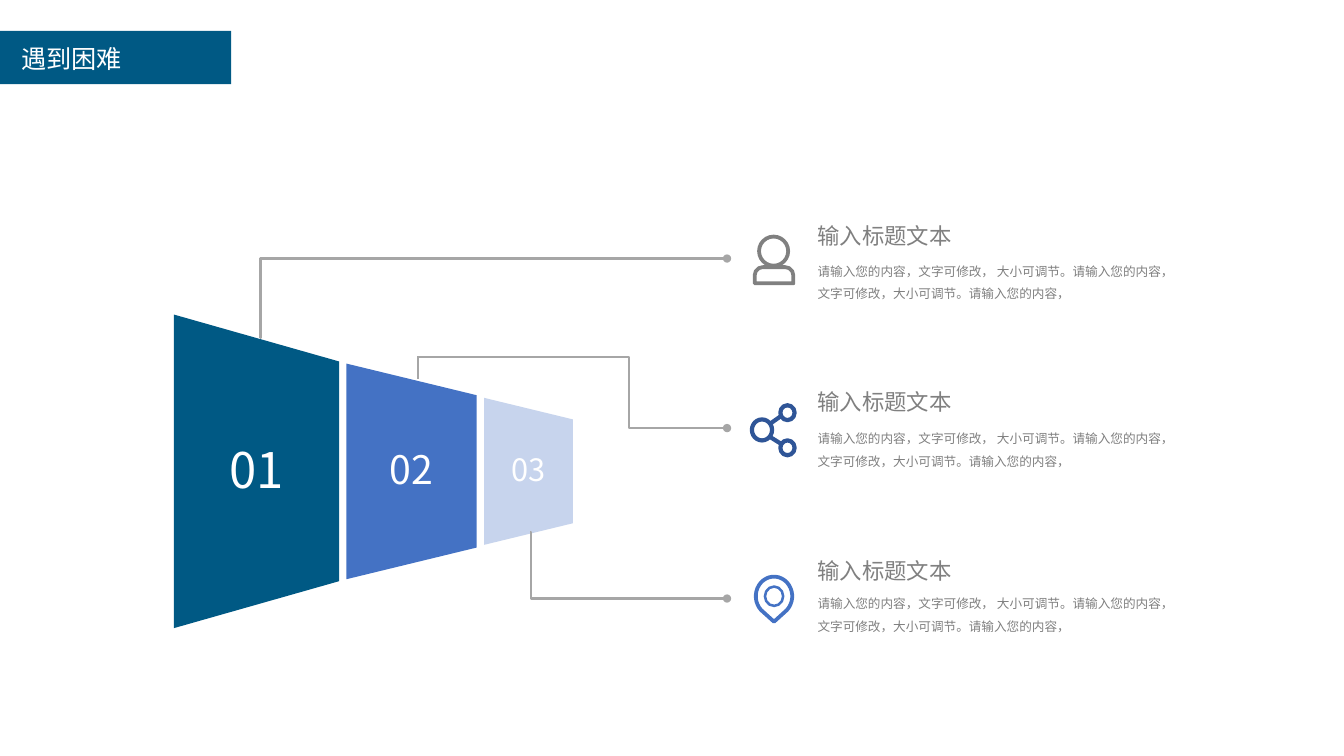
from math import cos, radians, sin
from lxml.etree import SubElement
from pptx import Presentation
from pptx.dml.color import RGBColor
from pptx.enum.shapes import MSO_CONNECTOR, MSO_SHAPE
from pptx.enum.text import MSO_ANCHOR, PP_ALIGN
from pptx.oxml.ns import qn
from pptx.util import Pt

NAVY = RGBColor(0x00, 0x59, 0x84)
BLUE = RGBColor(0x44, 0x72, 0xC4)
PALE = RGBColor(0xC7, 0xD4, 0xED)
DEEP = RGBColor(0x2F, 0x55, 0x97)
GRAY = RGBColor(0x80, 0x80, 0x80)
SILVER = RGBColor(0xA6, 0xA6, 0xA6)
WHITE = RGBColor(0xFF, 0xFF, 0xFF)
FONT = "Noto Sans CJK SC"
HEADING = "输入标题文本"
DETAIL = "请输入您的内容，文字可修改， 大小可调节。请输入您的内容，文字可修改，大小可调节。请输入您的内容，"


def write(box, text, size, color, align=PP_ALIGN.LEFT, anchor=MSO_ANCHOR.TOP, spacing=1.0):
    frame = box.text_frame
    settings = {"word_wrap": True, "vertical_anchor": anchor, "margin_left": 0,
                "margin_right": 0, "margin_top": 0, "margin_bottom": 0}
    for name, value in settings.items():
        setattr(frame, name, value)
    para = frame.paragraphs[0]
    para.alignment, para.line_spacing = align, spacing
    span = para.add_run()
    span.text = text
    for name, value in {"size": Pt(size), "name": FONT, "bold": False}.items():
        setattr(span.font, name, value)
    span.font.color.rgb = color
    SubElement(span.font._element, qn("a:ea"), typeface=FONT)


def stroke(item, color, width):
    item.line.color.rgb = color
    item.line.width = Pt(width)
    if hasattr(item, "fill"):
        item.fill.background()
        item.shadow.inherit = False
    else:
        SubElement(item._element.spPr, qn("a:effectLst"))


deck = Presentation()
deck.slide_width, deck.slide_height = Pt(960), Pt(540)
page = deck.slides.add_slide(deck.slide_layouts[5])
shapes = page.shapes

# Title on its bar
bar = shapes.add_shape(MSO_SHAPE.PENTAGON, 0, Pt(22), Pt(165), Pt(38))
bar.adjustments[0] = 0
bar.fill.solid()
bar.fill.fore_color.rgb = NAVY
bar.line.fill.background()
bar.shadow.inherit = False
title = shapes.title
title._element.addprevious(bar._element)
for name, value in {"left": 15.2, "top": 26, "width": 148, "height": 31}.items():
    setattr(title, name, Pt(value))
write(title, "遇到困难", 18, WHITE, anchor=MSO_ANCHOR.MIDDLE)

# Funnel of three trapezoids turned to the right
AXIS, GAP = 336.7, 5.3
left = 124.2
for number, length, depth, slope, color, size in [
        ("01", 224, 118, 0.284, NAVY, 35),
        ("02", 154, 93, 0.243, BLUE, 28),
        ("03", 105, 63.4, 0.243, PALE, 22)]:
    center = left + depth / 2
    piece = shapes.add_shape(MSO_SHAPE.TRAPEZOID, Pt(center - length / 2),
                             Pt(AXIS - depth / 2), Pt(length), Pt(depth))
    piece.rotation = 90
    piece.adjustments[0] = slope
    piece.fill.solid()
    piece.fill.fore_color.rgb = color
    piece.line.fill.background()
    piece.shadow.inherit = False
    height = size * 1.2
    label = shapes.add_textbox(Pt(center - 24.5), Pt(AXIS - 1.5 - height / 2),
                               Pt(49), Pt(height))
    write(label, number, size, WHITE, PP_ALIGN.CENTER, MSO_ANCHOR.MIDDLE)
    left += depth + GAP

# Leader lines ending in a dot; bend is the share of the width before the turn
LEADER_END = 519.3
for x, start, end, bend in [(185.4, 241.5, 184.7, 0.002),
                            (298.8, 255, 305.8, 0.683),
                            (378.8, 379.8, 427.5, 0.005)]:
    leader = shapes.add_connector(MSO_CONNECTOR.ELBOW, Pt(x), Pt(start),
                                  Pt(LEADER_END), Pt(end))
    stroke(leader, SILVER, 1.5)
    guides = leader._element.spPr.find(qn("a:prstGeom")).find(qn("a:avLst"))
    SubElement(guides, qn("a:gd"), name="adj1", fmla=f"val {round(bend * 100000)}")
    SubElement(leader.line._get_or_add_ln(), qn("a:tailEnd"), type="oval")
stem = shapes.add_connector(MSO_CONNECTOR.STRAIGHT, Pt(298.8), Pt(254.3), Pt(298.8), Pt(271))
stroke(stem, SILVER, 1.5)

# Heading and detail of each item
for heading_top, detail_top in [(158.4, 182.9), (277.4, 302.4), (398.2, 420.5)]:
    heading = shapes.add_textbox(Pt(584), Pt(heading_top), Pt(124.6), Pt(19.4))
    write(heading, HEADING, 16, GRAY)
    detail = shapes.add_textbox(Pt(584), Pt(detail_top), Pt(252), Pt(31))
    write(detail, DETAIL, 9, GRAY, spacing=1.5)

# Rounded icon parts: person, share nodes, inside of the pin
PIN_X, PIN_Y = 552.9, 425.9
for kind, x, y, half_width, half_height, color, width in [
        (MSO_SHAPE.OVAL, 552.6, 179.4, 10.4, 10.4, GRAY, 2.7),
        (MSO_SHAPE.ROUND_2_SAME_RECTANGLE, 552.9, 196.6, 13.8, 5.8, GRAY, 2.7),
        (MSO_SHAPE.OVAL, 544.3, 307.1, 7.2, 7.5, DEEP, 3),
        (MSO_SHAPE.OVAL, 562.5, 294.8, 5.1, 5.3, DEEP, 3),
        (MSO_SHAPE.OVAL, 562.5, 319.9, 5.1, 5.3, DEEP, 3),
        (MSO_SHAPE.OVAL, PIN_X, PIN_Y, 6.5, 6.9, BLUE, 1.8)]:
    part = shapes.add_shape(kind, Pt(x - half_width), Pt(y - half_height),
                            Pt(2 * half_width), Pt(2 * half_height))
    if kind == MSO_SHAPE.ROUND_2_SAME_RECTANGLE:
        part.adjustments[0] = 0.5
    stroke(part, color, width)

# Links between the share nodes
for start, end in [(302.4, 297.4), (312.4, 316.8)]:
    link = shapes.add_connector(MSO_CONNECTOR.STRAIGHT, Pt(550.5), Pt(start), Pt(557.6), Pt(end))
    stroke(link, DEEP, 3)

# Pin outline: an open arc closed by the tip
arc = [(Pt(PIN_X + 13 * cos(radians(angle))), Pt(PIN_Y + 14 * sin(radians(angle))))
       for angle in range(125, 416, 10)]
builder = shapes.build_freeform(*arc[0], scale=1.0)
builder.add_line_segments(arc[1:] + [(Pt(PIN_X), Pt(PIN_Y + 18.2))], close=True)
stroke(builder.convert_to_shape(), BLUE, 2.7)

deck.save("out.pptx")
